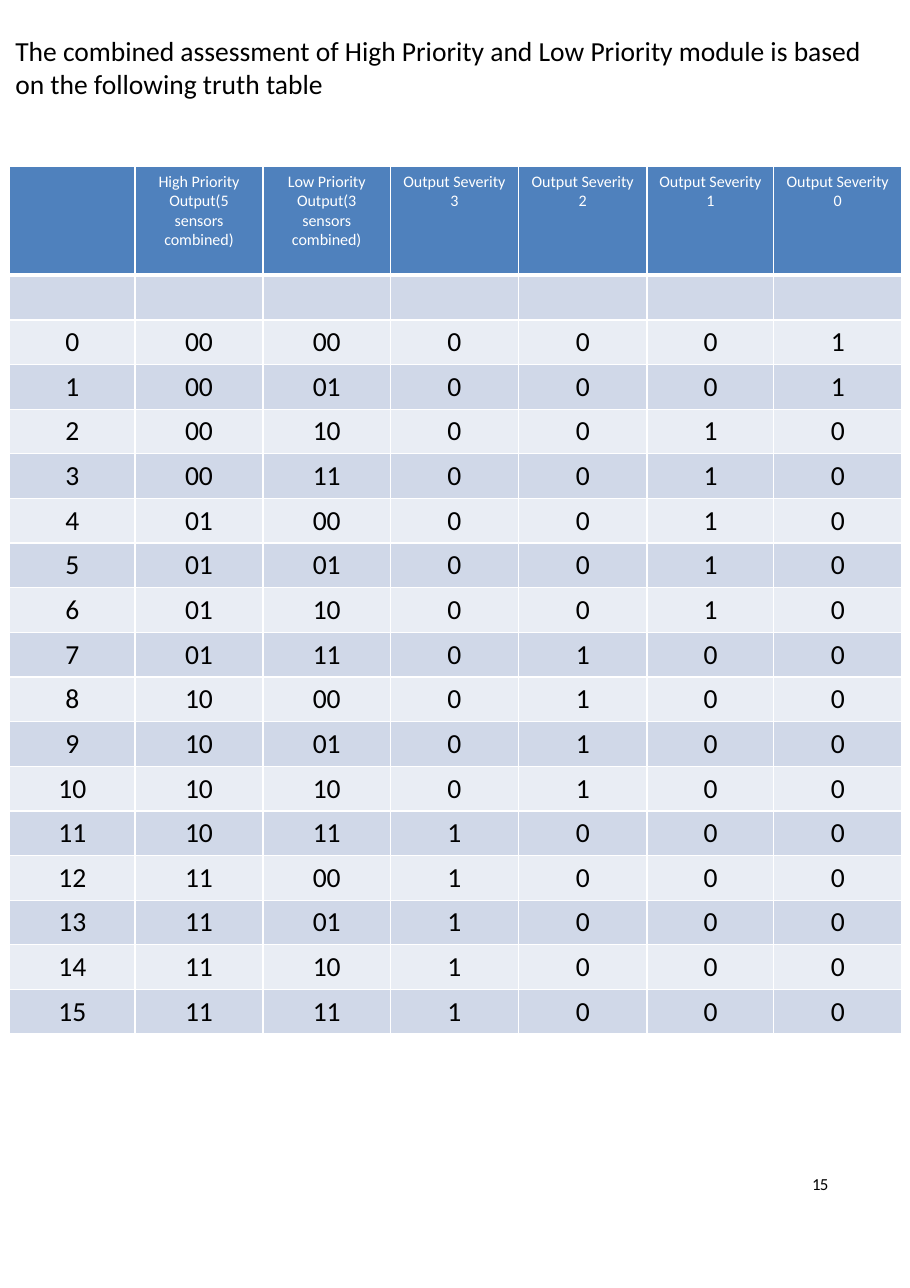
import pptx
import pptx.dml.color
import pptx.enum.text
import pptx.oxml
import pptx.oxml.ns
import pptx.util

Pt = pptx.util.Pt
COLORS = {
    "ink": "000000",
    "white": "FFFFFF",
    "header": "4F81BD",
    "band_dark": "D0D8E8",
    "band_light": "E9EDF4",
}
FONT = "Calibri"
HEADINGS = [
    "",
    "High Priority Output(5 sensors combined)",
    "Low Priority Output(3 sensors combined)",
    "Output Severity 3",
    "Output Severity 2",
    "Output Severity 1",
    "Output Severity 0",
]
COLUMN_WIDTHS = [82.1, 83.5, 83.5, 83.5, 84.2, 82.8, 83.5]
HEADER_HEIGHT = 71.2
ROW_HEIGHT = 29.17
SEVERITY_STARTS = {3: 11, 2: 7, 1: 2, 0: 0}


def color(name):
    return pptx.dml.color.RGBColor.from_string(COLORS[name])


def write(frame, text, size, color_name):
    frame.text = text
    para = frame.paragraphs[0]
    para.font.size = Pt(size)
    for span in para.runs:
        span.font.name = FONT
        span.font.size = Pt(size)
        span.font.color.rgb = color(color_name)
    return para


def add_text_box(page, left, top, width, height):
    box = page.shapes.add_textbox(Pt(left), Pt(top), Pt(width), Pt(height))
    box.text_frame.word_wrap = True
    return box.text_frame


def add_title(page, left, top, width, height):
    frame = add_text_box(page, left, top, width, height)
    write(
        frame,
        "The combined assessment of High Priority and Low Priority module "
        "is based on the following truth table",
        18,
        "ink",
    )


def truth_rows():
    rows = [HEADINGS, [""] * len(HEADINGS)]
    for state in range(16):
        high, low = divmod(state, 4)
        active = next(s for s, start in SEVERITY_STARTS.items() if state >= start)
        outputs = ["1" if severity == active else "0" for severity in SEVERITY_STARTS]
        rows.append([str(state), f"{high:02b}", f"{low:02b}", *outputs])
    return rows


def set_borders(cell, bottom_width):
    properties = cell._tc.get_or_add_tcPr()
    for side, width in (("L", 1), ("R", 1), ("T", 1), ("B", bottom_width)):
        properties.append(pptx.oxml.parse_xml(
            f'<a:ln{side} {pptx.oxml.ns.nsdecls("a")} w="{Pt(width)}">'
            f'<a:solidFill><a:srgbClr val="{COLORS["white"]}"/></a:solidFill>'
            f'</a:ln{side}>'
        ))


def format_cell(cell, text, row_index):
    is_header = row_index == 0
    set_borders(cell, 3 if is_header else 1)
    cell.fill.solid()
    band = "band_dark" if row_index % 2 else "band_light"
    cell.fill.fore_color.rgb = color("header" if is_header else band)
    size = 10.5 if is_header and text else 18
    para = write(cell.text_frame, text, size, "white" if is_header else "ink")
    para.alignment = pptx.enum.text.PP_ALIGN.CENTER


def add_truth_table(page, left, top):
    rows = truth_rows()
    heights = [HEADER_HEIGHT] + [ROW_HEIGHT] * (len(rows) - 1)
    table = page.shapes.add_table(
        len(rows), len(HEADINGS), Pt(left), Pt(top),
        Pt(sum(COLUMN_WIDTHS)), Pt(sum(heights)),
    ).table
    for column, width in zip(table.columns, COLUMN_WIDTHS):
        column.width = Pt(width)
    for row_index, (row, height, values) in enumerate(zip(table.rows, heights, rows)):
        row.height = Pt(height)
        for cell, text in zip(row.cells, values):
            format_cell(cell, text, row_index)


def add_page_number(page, left, top, width, height):
    frame = add_text_box(page, left, top, width, height)
    frame.margin_left = frame.margin_right = 0
    frame.margin_top = frame.margin_bottom = 0
    frame.auto_size = pptx.enum.text.MSO_AUTO_SIZE.SHAPE_TO_FIT_TEXT
    para = write(frame, "15", 11, "ink")
    para.line_spacing = Pt(11.5)
    para._p.get_or_add_pPr().set("marL", str(Pt(3)))
    para.runs[0].font._element.set("spc", "-50")


def main():
    deck = pptx.Presentation()
    deck.slide_width = Pt(594.72)
    deck.slide_height = Pt(841.68)
    page = deck.slides.add_slide(deck.slide_layouts[6])
    add_title(page, 2.9, 18.7, 582.5, 104.4)
    add_truth_table(page, 6.2, 108.7)
    add_page_number(page, 527.8, 769, 28, 12.2)
    deck.save("out.pptx")


if __name__ == "__main__":
    main()
